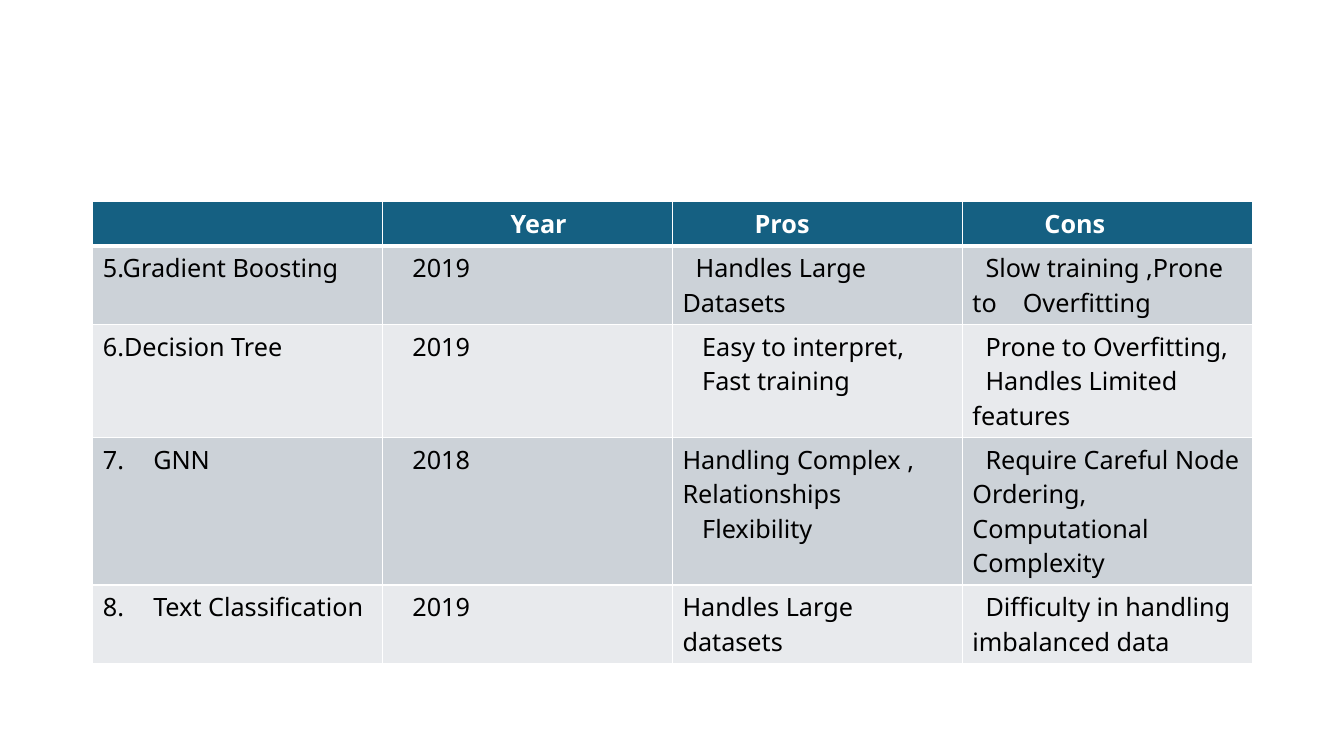
from dataclasses import dataclass

from lxml import etree
from pptx import Presentation
from pptx.dml.color import RGBColor
from pptx.oxml.ns import qn
from pptx.util import Inches, Pt

BLANK_LAYOUT = 6


@dataclass(frozen=True)
class Theme:
    font: str = "Noto Sans"
    size: int = 18
    header: str = "156082"
    bands: tuple = ("CCD2D8", "E8EAED")
    line: str = "FFFFFF"
    header_text: str = "FFFFFF"
    body_text: str = "000000"
    thin: int = 1
    thick: int = 3
    space: float = 0.065  # width of one indent step, inches


THEME = Theme()

# Each paragraph is (indent steps, text)
HEADINGS = [[], [(18, "Year")], [(11, "Pros")], [(11, "Cons")]]
METHODS = [
    [[(0, "5.Gradient Boosting")], [(3, "2019")],
     [(2, "Handles Large Datasets")],
     [(2, "Slow training ,Prone to\tOverfitting")]],
    [[(0, "6.Decision Tree")], [(3, "2019")],
     [(3, "Easy to interpret,"), (3, "Fast training")],
     [(2, "Prone to Overfitting,"), (2, "Handles Limited features")]],
    [[(0, "7.\tGNN")], [(3, "2018")],
     [(0, "Handling Complex , Relationships"), (3, "Flexibility")],
     [(2, "Require Careful Node Ordering, Computational Complexity")]],
    [[(0, "8.\tText Classification")], [(3, "2019")],
     [(0, "Handles Large datasets")],
     [(2, "Difficulty in handling imbalanced data")]],
]
ROW_HEIGHTS = [0.41, 0.7, 1, 1.3, 0.7]
TAB_STOPS = {0: 0.34, 3: 0.57}


def set_borders(cell, top, bottom):
    """Draw the four cell edges, with top and bottom widths in points."""
    properties = cell._tc.get_or_add_tcPr()
    widths = {"a:lnL": THEME.thin, "a:lnR": THEME.thin,
              "a:lnT": top, "a:lnB": bottom}
    for tag, width in widths.items():
        edge = etree.SubElement(properties, qn(tag), w=str(Pt(width)))
        fill = etree.SubElement(edge, qn("a:solidFill"))
        etree.SubElement(fill, qn("a:srgbClr"), val=THEME.line)


def set_indent(para, steps, tab_stop):
    """Indent the first line and place the tab stop, if there is one."""
    properties = para._p.get_or_add_pPr()
    properties.set("marL", "0")
    properties.set("indent", str(Inches(steps * THEME.space)))
    if tab_stop:
        stops = etree.SubElement(properties, qn("a:tabLst"))
        etree.SubElement(stops, qn("a:tab"), pos=str(Inches(tab_stop)), algn="l")


def fill_cell(cell, paragraphs, color, text_color, bold, tab_stop):
    cell.fill.solid()
    cell.fill.fore_color.rgb = RGBColor.from_string(color)
    frame = cell.text_frame
    for index, (steps, text) in enumerate(paragraphs):
        para = frame.add_paragraph() if index else frame.paragraphs[0]
        set_indent(para, steps, tab_stop if "\t" in text else None)
        span = para.add_run()
        span.text = text
        span.font.name = THEME.font
        span.font.size = Pt(THEME.size)
        span.font.bold = bold
        span.font.color.rgb = RGBColor.from_string(text_color)


def add_method_table(page, left, top, width):
    """Place the comparison table with equal columns in the given box."""
    rows = [HEADINGS] + METHODS
    count = len(HEADINGS)
    table = page.shapes.add_table(
        len(rows), count, Inches(left), Inches(top),
        Inches(width), Inches(sum(ROW_HEIGHTS))).table
    for column in table.columns:
        column.width = Inches(width / count)
    for r, (cells, height) in enumerate(zip(rows, ROW_HEIGHTS)):
        table.rows[r].height = Inches(height)
        is_header = r == 0
        color = THEME.header if is_header else THEME.bands[(r - 1) % 2]
        text_color = THEME.header_text if is_header else THEME.body_text
        # The heavy rule runs between the header and the first method
        edge_above = THEME.thick if r == 1 else THEME.thin
        edge_below = THEME.thick if is_header else THEME.thin
        for c, paragraphs in enumerate(cells):
            cell = table.cell(r, c)
            set_borders(cell, edge_above, edge_below)
            fill_cell(cell, paragraphs, color, text_color, is_header,
                      TAB_STOPS.get(c))


def main():
    deck = Presentation()
    deck.slide_width, deck.slide_height = Inches(13.33), Inches(7.5)
    page = deck.slides.add_slide(deck.slide_layouts[BLANK_LAYOUT])
    add_method_table(page, left=0.92, top=2, width=11.5)
    deck.save("out.pptx")


if __name__ == "__main__":
    main()
